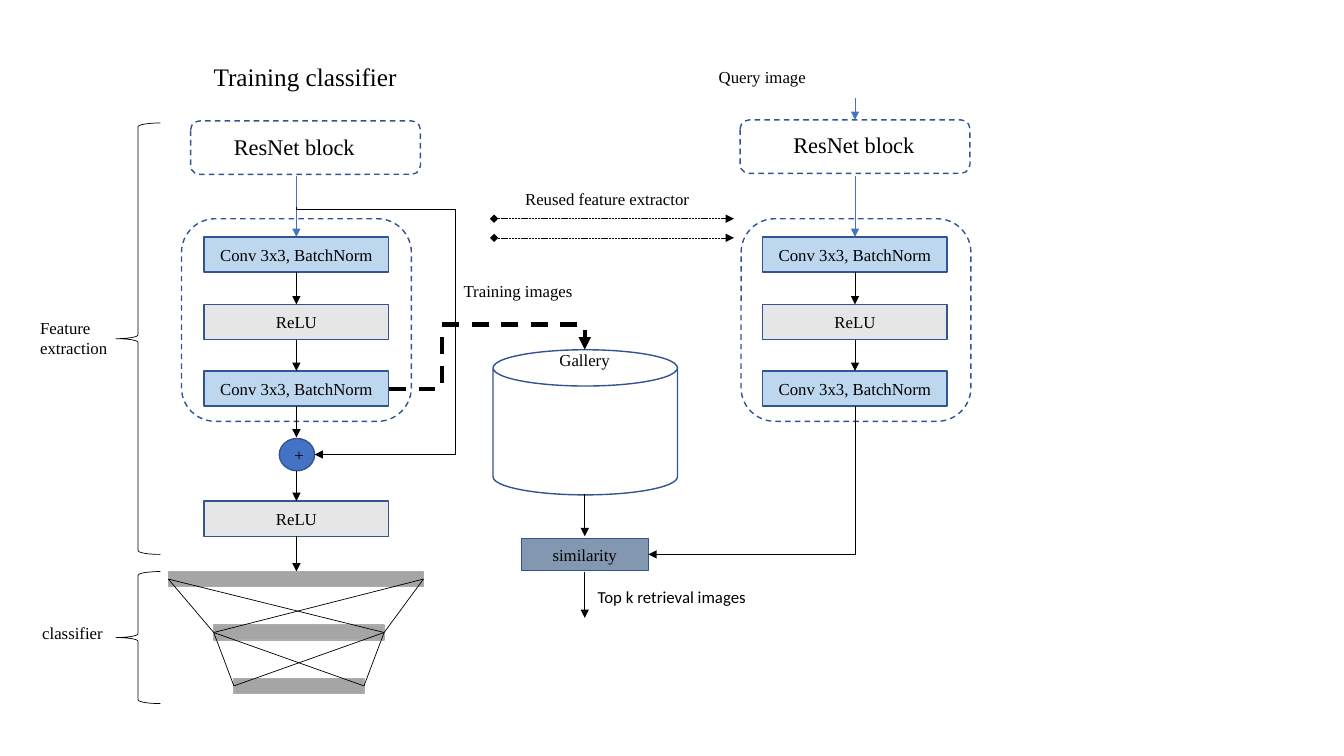
import itertools

import pptx
import pptx.dml.color
import pptx.enum.dml
import pptx.enum.shapes
import pptx.enum.text
import pptx.oxml
import pptx.oxml.ns
import pptx.util

Inches = pptx.util.Inches
SHAPE = pptx.enum.shapes.MSO_SHAPE
CONNECTOR = pptx.enum.shapes.MSO_CONNECTOR
DASH = pptx.enum.dml.MSO_LINE
ALIGN = pptx.enum.text.PP_ALIGN
ANCHOR = pptx.enum.text.MSO_ANCHOR

THEME = {
    "ink": "000000", "outline": "325491", "accent": "4472C4",
    "conv": "BDD7EE", "relu": "E7E6E6", "match": "8497B0",
    "layer": "A5A5A5", "layer_edge": "AFABAB",
    "serif": "Times New Roman", "sans": "Calibri",
    "title": 18, "block": 16, "body": 12,
    "thin": 0.5, "edge": 1, "heavy": 3,
}

# Content; lengths in inches
STEPS = [("Conv 3x3, BatchNorm", "conv", 2.35),
         ("ReLU", "relu", 3.02),
         ("Conv 3x3, BatchNorm", "conv", 3.68)]
STEP_W, STEP_H = 1.83, 0.35
TRAIN_AXIS, QUERY_AXIS, GALLERY_AXIS = 2.94, 8.48, 5.8
# axis, ResNet frame corner, residual frame left
BRANCHES = [(TRAIN_AXIS, (1.89, 1.2), 1.8),
            (QUERY_AXIS, (7.34, 1.19), 7.35)]
FRAME_W, RESNET_H, RESIDUAL_H = 2.28, 0.53, 2.01
FINAL_RELU_TOP = 4.97
LAYER_TOP, LAYER_PITCH, LAYER_H = 5.67, 0.53, 0.15
LAYERS = [(1.67, 2.53), (2.12, 1.69), (2.32, 1.29)]  # left, width
BRACES = [(1.22, 4.28), (5.67, 1.31)]  # top, height
REUSE_ARROWS = [2.17, 2.36]
LABELS = [  # text, left, top, width, height, format
    ("Training classifier", 2.02, 0.56, 2.04, 0.4, {"size": "title"}),
    ("ResNet block", 2.22, 1.27, 1.42, 0.37, {"size": "block"}),
    ("ResNet block", 7.77, 1.25, 1.42, 0.37, {"size": "block"}),
    ("Query image", 7.03, 0.61, 1.08, 0.3, {}),
    ("Reused feature extractor", 5.11, 1.82, 1.89, 0.3, {}),
    ("Training images", 4.5, 2.74, 1.3, 0.3, {}),
    ("Gallery", 5.45, 3.42, 0.71, 0.3, {}),
    ("Feature extraction", 0.3, 3.1, 1.25, 0.5, {"wrap": True}),
    ("classifier", 0.32, 6.13, 0.81, 0.3, {}),
    ("Top k retrieval images", 5.83, 5.77, 1.69, 0.3, {"font": "sans"}),
]

deck = pptx.Presentation()
deck.slide_width, deck.slide_height = Inches(13.33), Inches(7.5)
slide = deck.slides.add_slide(deck.slide_layouts[6])


def colour(name):
    return pptx.dml.color.RGBColor.from_string(THEME[name])


def write(frame, text, size="body", font="serif", align=ALIGN.LEFT,
          anchor=ANCHOR.TOP, wrap=False):
    frame.word_wrap = wrap
    frame.vertical_anchor = anchor
    paragraph = frame.paragraphs[0]
    paragraph.alignment = align
    run = paragraph.add_run()
    run.text = text
    run.font.size = pptx.util.Pt(THEME[size])
    run.font.name = THEME[font]
    run.font.color.rgb = colour("ink")


def stroke(line, name, width, dash=None):
    line.color.rgb = colour(name)
    line.width = pptx.util.Pt(THEME[width])
    if dash is not None:
        line.dash_style = dash


def box(kind, left, top, width, height, fill=None, text=None,
        edge="outline", weight="edge", dash=None):
    part = slide.shapes.add_shape(kind, Inches(left), Inches(top),
                                  Inches(width), Inches(height))
    part.shadow.inherit = False
    if fill:
        part.fill.solid()
        part.fill.fore_color.rgb = colour(fill)
    else:
        part.fill.background()
    stroke(part.line, edge, weight, dash)
    if text:
        write(part.text_frame, text, align=ALIGN.CENTER,
              anchor=ANCHOR.MIDDLE, wrap=True)
    return part


def link(start, end, name="ink", width="thin", dash=None, head=None,
         tail="triangle", kind=CONNECTOR.STRAIGHT):
    """Connector from start to end; head and tail are arrowhead types."""
    wire = slide.shapes.add_connector(kind, *map(Inches, start + end))
    stroke(wire.line, name, width, dash)
    outline = wire.line._get_or_add_ln()
    for tag, arrow in (("a:headEnd", head), ("a:tailEnd", tail)):
        if arrow:
            mark = pptx.oxml.ns.qn(tag)
            outline.append(outline.makeelement(mark, {"type": arrow}))
    properties = wire._element.spPr
    properties.append(properties.makeelement(pptx.oxml.ns.qn("a:effectLst"), {}))
    return wire


def elbow(start, end, preset, turn=0, flip=None, bends=(), **style):
    """Bent connector; bends are fractions of its unrotated width and height."""
    wire = link(start, end, kind=CONNECTOR.ELBOW, **style)
    (x1, y1), (x2, y2) = start, end
    width, height = abs(x2 - x1), abs(y2 - y1)
    if turn in (90, 270):
        width, height = height, width
    wire.left, wire.top = Inches((x1 + x2 - width) / 2), Inches((y1 + y2 - height) / 2)
    wire.width, wire.height = Inches(width), Inches(height)
    frame = wire._element.spPr.find(pptx.oxml.ns.qn("a:xfrm"))
    for key in ("flipH", "flipV"):
        frame.attrib.pop(key, None)
    if turn:
        frame.set("rot", str(turn * 60000))
    if flip:
        frame.set(flip, "1")
    geometry = wire._element.spPr.find(pptx.oxml.ns.qn("a:prstGeom"))
    geometry.set("prst", preset)
    guides = geometry.get_or_add_avLst()
    for number, bend in enumerate(bends, 1):
        guides.append(guides.makeelement(pptx.oxml.ns.qn("a:gd"), {
            "name": f"adj{number}", "fmla": f"val {round(bend * 100000)}"}))


def step(text, fill, axis, top):
    box(SHAPE.RECTANGLE, axis - STEP_W / 2, top, STEP_W, STEP_H, fill, text)


def draw_branch(axis, resnet, residual_left):
    box(SHAPE.ROUNDED_RECTANGLE, *resnet, FRAME_W, RESNET_H, dash=DASH.DASH)
    box(SHAPE.ROUNDED_RECTANGLE, residual_left, 2.17, FRAME_W, RESIDUAL_H,
        dash=DASH.DASH)
    for text, fill, top in STEPS:
        step(text, fill, axis, top)
    for (_, _, above), (_, _, below) in itertools.pairwise(STEPS):
        link((axis, above + STEP_H), (axis, below))
    link((axis, 1.75), (axis, STEPS[0][2]), "accent")


def draw_classifier():
    ends = []
    for row, (left, width) in enumerate(LAYERS):
        top = LAYER_TOP + row * LAYER_PITCH
        box(SHAPE.RECTANGLE, left, top, width, LAYER_H, "layer", edge="layer_edge")
        middle = top + LAYER_H / 2
        ends.append([(left, middle), (left + width, middle)])
    for upper, lower in itertools.pairwise(ends):
        for start, end in itertools.product(upper, lower):
            link(start, end, tail=None)


for branch in BRANCHES:
    draw_branch(*branch)

# Residual sum and last activation of the training branch
block_end = STEPS[-1][2] + STEP_H
box(SHAPE.OVAL, 2.77, 4.35, 0.35, 0.32, "accent", "+")
step("ReLU", "relu", TRAIN_AXIS, FINAL_RELU_TOP)
for start, end in [(block_end, 4.34), (4.67, FINAL_RELU_TOP),
                   (FINAL_RELU_TOP + STEP_H, LAYER_TOP)]:
    link((TRAIN_AXIS, start), (TRAIN_AXIS, end))
elbow((TRAIN_AXIS, 2.05), (3.12, 4.51), "bentConnector4", turn=270,
      flip="flipH", bends=(0.01, 8.75))
draw_classifier()

# Gallery and retrieval
box(SHAPE.CAN, 4.89, 3.47, 1.83, 1.44)
box(SHAPE.RECTANGLE, 5.17, 5.34, 1.26, 0.32, "match", "similarity")
elbow((3.86, 3.86), (GALLERY_AXIS, 3.47), "bentConnector4", flip="flipV",
      bends=(0.27, 1.64), width="heavy", dash=DASH.DASH)
elbow((QUERY_AXIS, block_end), (6.43, 5.5), "bentConnector2", turn=90)
link((QUERY_AXIS, 0.97), (QUERY_AXIS, 1.19), "accent")
for start, end in [(4.9, 5.32), (5.67, 6.13)]:
    link((GALLERY_AXIS, start), (GALLERY_AXIS, end))
for height in REUSE_ARROWS:
    link((4.9, height), (7.28, height), dash=DASH.SQUARE_DOT, head="diamond")

for top, height in BRACES:
    box(SHAPE.LEFT_BRACE, 1.15, top, 0.44, height, edge="ink", weight="thin")
for text, left, top, width, height, style in LABELS:
    label = slide.shapes.add_textbox(*map(Inches, (left, top, width, height)))
    write(label.text_frame, text, **style)

deck.save("out.pptx")
